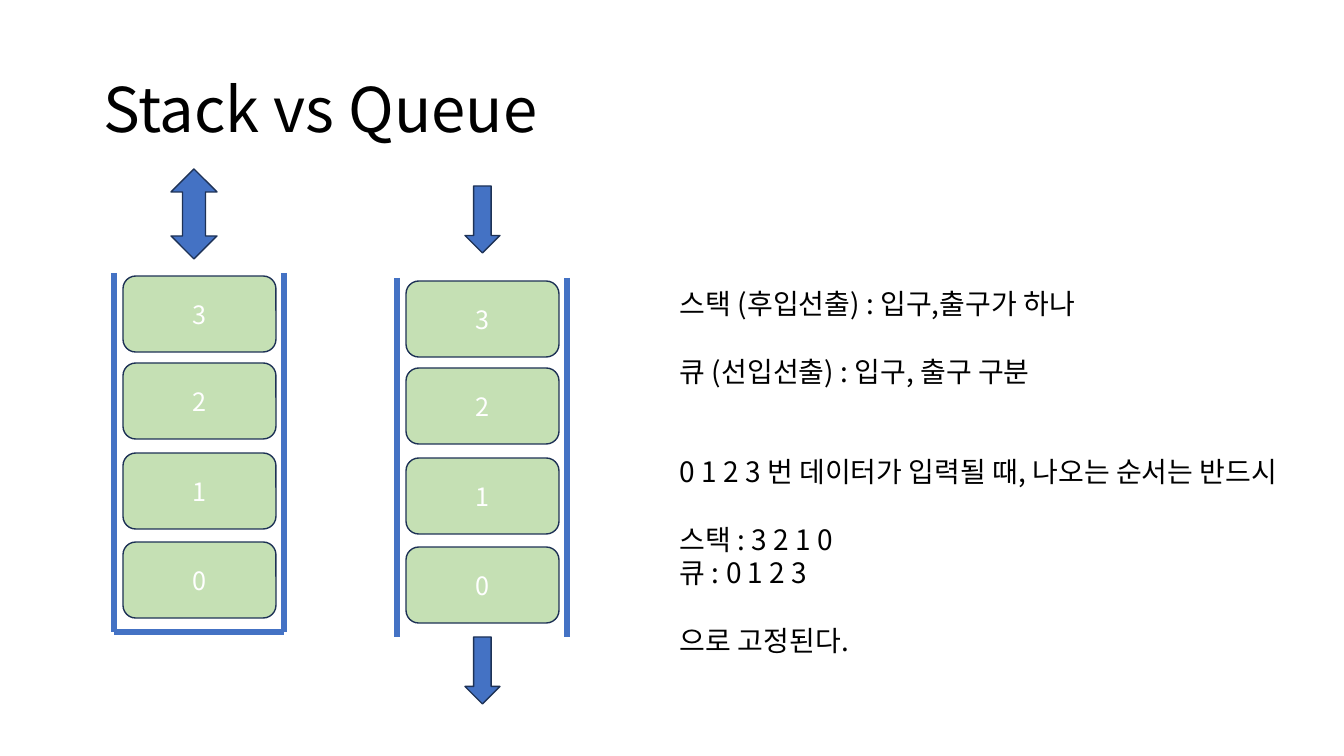
import dataclasses
import pptx
import pptx.dml.color
import pptx.enum.shapes
import pptx.enum.text
import pptx.oxml
import pptx.oxml.ns
import pptx.util

SHAPES = pptx.enum.shapes.MSO_SHAPE
ALIGN = pptx.enum.text.PP_ALIGN
ANCHOR = pptx.enum.text.MSO_ANCHOR
PX = 914400 / 100.8


@dataclasses.dataclass(frozen=True)
class Theme:
    font: str = "Noto Sans CJK KR"
    ink: str = "000000"
    label: str = "FFFFFF"
    block: str = "C5E0B4"
    accent: str = "4472C4"
    outline: str = "1E3256"
    title_size: int = 44
    summary_size: int = 20
    label_size: int = 18
    summary_pitch: int = 24
    wall_width: float = 4.5
    outline_width: int = 1


THEME = Theme()


def px(*lengths):
    return [pptx.util.Emu(round(length * PX)) for length in lengths]


def rgb(color):
    return pptx.dml.color.RGBColor.from_string(color)


def add_run(paragraph, text, size, color):
    run = paragraph.add_run()
    run.text = text
    run.font.size = pptx.util.Pt(size)
    run.font.name = THEME.font
    run.font.color.rgb = rgb(color)
    east_asian = pptx.oxml.parse_xml(
        f'<a:ea {pptx.oxml.ns.nsdecls("a")} typeface="{THEME.font}"/>')
    run.font._element.find(pptx.oxml.ns.qn("a:latin")).addnext(east_asian)


def add_filled(slide, kind, box, fill):
    shape = slide.shapes.add_shape(kind, *px(*box))
    shape.shadow.inherit = False
    shape.fill.solid()
    shape.fill.fore_color.rgb = rgb(fill)
    shape.line.color.rgb = rgb(THEME.outline)
    shape.line.width = pptx.util.Pt(THEME.outline_width)
    return shape


def add_wall(slide, *ends):
    wall = slide.shapes.add_connector(
        pptx.enum.shapes.MSO_CONNECTOR.STRAIGHT, *px(*ends))
    wall.line.color.rgb = rgb(THEME.accent)
    wall.line.width = pptx.util.Pt(THEME.wall_width)
    wall._element.spPr.append(
        pptx.oxml.parse_xml(f'<a:effectLst {pptx.oxml.ns.nsdecls("a")}/>'))


def add_block(slide, box, number):
    block = add_filled(slide, SHAPES.ROUNDED_RECTANGLE, box, THEME.block)
    block.text_frame.vertical_anchor = ANCHOR.MIDDLE
    label = block.text_frame.paragraphs[0]
    label.alignment = ALIGN.CENTER
    add_run(label, str(number), THEME.label_size, THEME.label)


def add_container(slide, box, closed):
    left, top, width, height = box
    right, bottom = left + width, top + height
    for side in (left, right):
        add_wall(slide, side, top, side, bottom)
    if closed:
        add_wall(slide, right, bottom, left, bottom)
    for number, offset in enumerate((269, 180, 90, 3)):
        add_block(slide, (left + 9, top + offset, width - 17, 76), number)


def add_stack(slide, box):
    left, top, width, height = box
    add_container(slide, box, closed=True)
    add_filled(slide, SHAPES.UP_DOWN_ARROW,
               (left + 57, top - 104, 46, 90), THEME.accent)


def add_queue(slide, box):
    left, top, width, height = box
    add_container(slide, box, closed=False)
    for arrow_top in (top - 92, top + height):
        add_filled(slide, SHAPES.DOWN_ARROW,
                   (left + 68, arrow_top, 35, 67), THEME.accent)


def add_title(slide, box, text):
    title = slide.shapes.title
    title.left, title.top, title.width, title.height = px(*box)
    title.text_frame.vertical_anchor = ANCHOR.MIDDLE
    heading = title.text_frame.paragraphs[0]
    heading.alignment = ALIGN.LEFT
    heading.line_spacing = 0.9
    add_run(heading, text, THEME.title_size, THEME.ink)


def add_summary(slide, box, lines):
    frame = slide.shapes.add_textbox(*px(*box)).text_frame
    frame.word_wrap = True
    for index, (gap, text) in enumerate(lines):
        line = frame.add_paragraph() if index else frame.paragraphs[0]
        line.line_spacing = pptx.util.Pt(THEME.summary_pitch)
        line.space_before = pptx.util.Pt(gap * THEME.summary_pitch)
        add_run(line, text, THEME.summary_size, THEME.ink)


SUMMARY = (
    (0, "스택 (후입선출) : 입구,출구가 하나"),
    (1, "큐 (선입선출) : 입구, 출구 구분"),
    (2, "0 1 2 3 번 데이터가 입력될 때, 나오는 순서는 반드시"),
    (1, "스택 : 3 2 1 0"),
    (0, "큐 : 0 1 2 3"),
    (1, "으로 고정된다."),
)

deck = pptx.Presentation()
deck.slide_width, deck.slide_height = px(1344, 756)
comparison = deck.slides.add_slide(deck.slide_layouts[5])
add_title(comparison, (93, 40, 1159, 146), "Stack vs Queue")
add_stack(comparison, (114, 273, 170, 359))
add_queue(comparison, (397, 278, 170, 359))
add_summary(comparison, (670, 282, 631, 414), SUMMARY)
deck.save("out.pptx")
